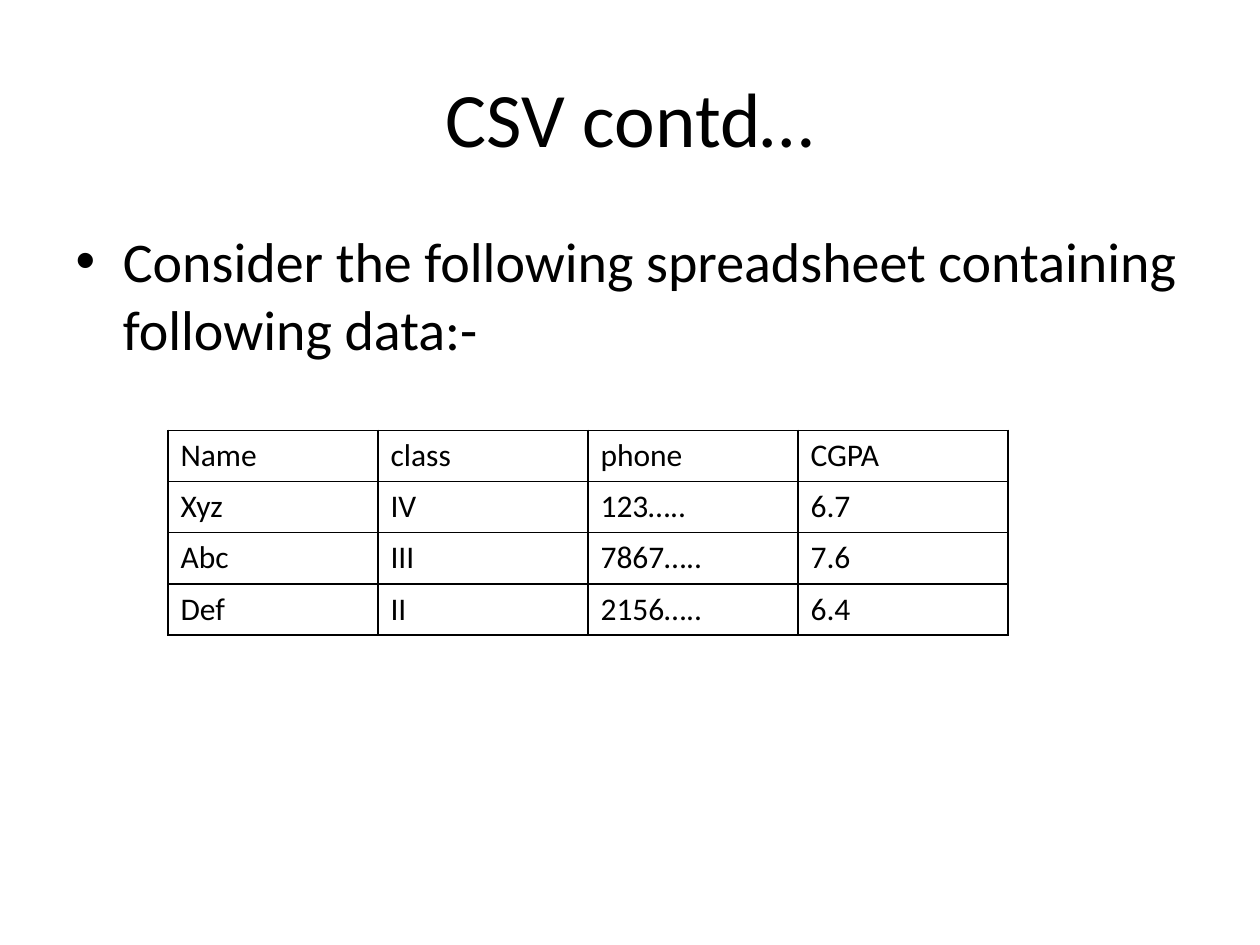
from dataclasses import dataclass

from lxml import etree
from pptx import Presentation
from pptx.dml.color import RGBColor
from pptx.enum.text import MSO_ANCHOR, PP_ALIGN
from pptx.oxml.ns import qn
from pptx.util import Pt

CENTER, LEFT = PP_ALIGN.CENTER, PP_ALIGN.LEFT
MIDDLE, TOP = MSO_ANCHOR.MIDDLE, MSO_ANCHOR.TOP
TITLE_AND_CONTENT = 1


@dataclass(frozen=True)
class Theme:
    """Colours, font and type sizes of the slide."""
    font: str = "Calibri"
    ink: str = "000000"
    title_size: int = 44
    body_size: int = 32
    table_size: int = 18
    border: int = 1


THEME = Theme()
STUDENTS = [
    ["Name", "class", "phone", "CGPA"],
    ["Xyz", "IV", "123\u2026..", "6.7"],
    ["Abc", "III", "7867\u2026..", "7.6"],
    ["Def", "II", "2156\u2026..", "6.4"],
]


def write_text(frame, text, size, align=LEFT, anchor=TOP):
    """Put one formatted paragraph into a text frame."""
    frame.vertical_anchor = anchor
    para = frame.paragraphs[0]
    para.alignment = align
    span = para.add_run()
    span.text = text
    span.font.name = THEME.font
    span.font.size = Pt(size)
    span.font.color.rgb = RGBColor.from_string(THEME.ink)


def fill_placeholder(shape, text, left, top, width, height, **text_format):
    """Move a template placeholder and write its text."""
    shape.left, shape.top = Pt(left), Pt(top)
    shape.width, shape.height = Pt(width), Pt(height)
    write_text(shape.text_frame, text, **text_format)


def add_borders(cell):
    """Draw a solid line on all four sides of a cell."""
    properties = cell._tc.get_or_add_tcPr()
    for side in ("a:lnL", "a:lnR", "a:lnT", "a:lnB"):
        line = etree.SubElement(properties, qn(side), w=str(Pt(THEME.border)))
        fill = etree.SubElement(line, qn("a:solidFill"))
        etree.SubElement(fill, qn("a:srgbClr"), val=THEME.ink)


def add_grid(page, rows, left, top, column_width, row_height):
    """Add a plain bordered table with equal columns and rows."""
    row_count, column_count = len(rows), len(rows[0])
    table = page.shapes.add_table(
        row_count, column_count, Pt(left), Pt(top),
        Pt(column_width * column_count), Pt(row_height * row_count)).table
    table.first_row = table.horz_banding = False
    for column in table.columns:
        column.width = Pt(column_width)
    for row, values in zip(table.rows, rows):
        row.height = Pt(row_height)
        for cell, value in zip(row.cells, values):
            write_text(cell.text_frame, value, THEME.table_size)
            add_borders(cell)
            cell.fill.background()


def main():
    """Build the slide and save the deck."""
    deck = Presentation()
    deck.slide_width, deck.slide_height = Pt(720), Pt(540)
    page = deck.slides.add_slide(deck.slide_layouts[TITLE_AND_CONTENT])
    fill_placeholder(page.shapes.title, "CSV contd\u2026", 36, 21.6, 648, 90,
                     size=THEME.title_size, align=CENTER, anchor=MIDDLE)
    fill_placeholder(
        page.placeholders[1],
        "Consider the following spreadsheet containing following data:-",
        36, 126, 648, 356.4, size=THEME.body_size)
    add_grid(page, STUDENTS, left=96, top=246, column_width=120, row_height=29.2)
    deck.save("out.pptx")


main()
